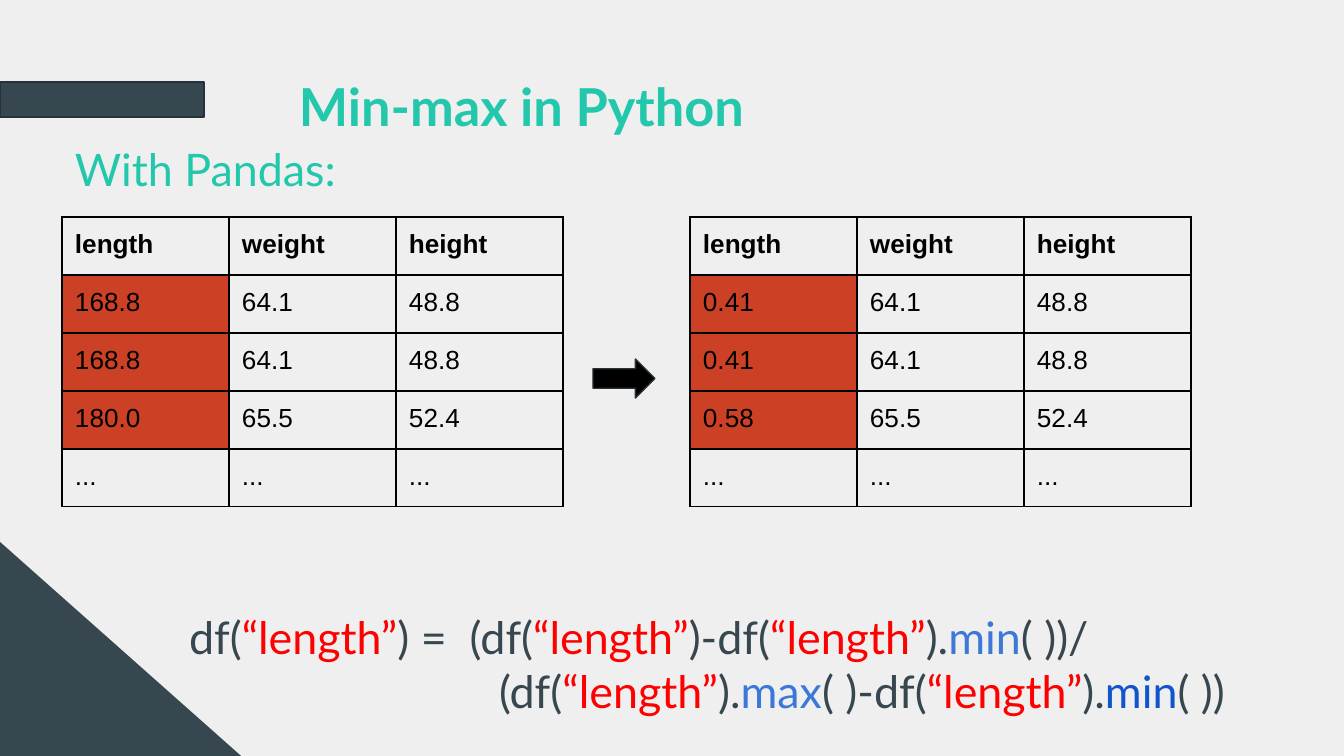
import pptx
import pptx.dml.color
import pptx.enum.shapes
import pptx.oxml
import pptx.oxml.ns
import pptx.util

SCALE = 914400 / 134.4  # EMU per px
COLORS = {
    "background": "EFEFEF", "slate": "37474F", "outline": "263238",
    "teal": "23C7AC", "black": "000000", "highlight": "CC4125",
    "string": "FF0000", "function": "3C78D8", "last_function": "1155CC",
}


def px(*lengths):
    return [pptx.util.Emu(round(length * SCALE)) for length in lengths]


def color(name):
    return pptx.dml.color.RGBColor.from_string(COLORS[name])


presentation = pptx.Presentation()
presentation.slide_width, presentation.slide_height = px(1344, 756)
slide = presentation.slides.add_slide(presentation.slide_layouts[6])
slide.background.fill.solid()
slide.background.fill.fore_color.rgb = color("background")

# Side bar, corner triangle and arrow between the tables
SHAPE = pptx.enum.shapes.MSO_SHAPE
for kind, box, fill, outlined in [
    (SHAPE.RECTANGLE, (0, 82, 204, 35), "slate", True),
    (SHAPE.RIGHT_TRIANGLE, (0, 542, 241, 214), "slate", False),
    (SHAPE.RIGHT_ARROW, (593, 359, 62, 39), "black", True),
]:
    shape = slide.shapes.add_shape(kind, *px(*box))
    shape.shadow.inherit = False
    shape.fill.solid()
    shape.fill.fore_color.rgb = color(fill)
    if outlined:
        shape.line.color.rgb = color("outline")
        shape.line.width = pptx.util.Pt(0.75)
    else:
        shape.line.fill.background()

# Title, subtitle and formula: each line is a list of (text, colour) runs
formula = [
    [("df(", "slate"), ("“length”", "string"), (") =  (df(", "slate"),
     ("“length”", "string"), (")-df(", "slate"), ("“length”", "string"),
     (").", "slate"), ("min", "function"), ("( ))/", "slate")],
    [("(df(", "slate"), ("“length”", "string"), (").", "slate"),
     ("max", "function"), ("( )-df(", "slate"), ("“length”", "string"),
     (").", "slate"), ("min", "last_function"), ("( ))", "slate")],
]
for box, size, bold, spacing, lines in [
    ((286, 52, 921, 74), 28, True, 1.15, [[("Min-max in Python", "teal")]]),
    ((62, 129, 425, 85), 24, False, 1.0, [[("With Pandas:", "teal")]]),
    ((176, 597, 1067, 134), 24, False, 1.0, formula),
]:
    frame = slide.shapes.add_textbox(*px(*box)).text_frame
    frame.word_wrap = True
    frame.margin_left, frame.margin_top, frame.margin_right, frame.margin_bottom = px(13, 13, 13, 13)
    for index, runs in enumerate(lines):
        paragraph = frame.add_paragraph() if index else frame.paragraphs[0]
        if index:  # continuation line of the formula
            paragraph._p.get_or_add_pPr().set("marL", str(px(310)[0]))
        paragraph.line_spacing = spacing
        paragraph.font.name = "Lato"
        paragraph.font.size = pptx.util.Pt(size)
        paragraph.font.bold = bold
        for text, color_name in runs:
            run = paragraph.add_run()
            run.text = text
            run.font.color.rgb = color(color_name)

# Tables before and after scaling; only the length column differs
HEADER = ["length", "weight", "height"]
UNCHANGED = [["64.1", "48.8"], ["64.1", "48.8"], ["65.5", "52.4"]]
ROW_HEIGHTS = [58, 58, 58, 58, 56]
COLUMN_WIDTH = 167
for left, lengths in [(62, ["168.8", "168.8", "180.0"]), (690, ["0.41", "0.41", "0.58"])]:
    rows = [HEADER]
    rows += [[length] + rest for length, rest in zip(lengths, UNCHANGED)]
    rows.append(["..."] * 3)
    table = slide.shapes.add_table(
        5, 3, *px(left, 217, 3 * COLUMN_WIDTH, sum(ROW_HEIGHTS))).table
    table.first_row = False
    table.horz_banding = False
    for column in table.columns:
        column.width = px(COLUMN_WIDTH)[0]
    for row_index, values in enumerate(rows):
        table.rows[row_index].height = px(ROW_HEIGHTS[row_index])[0]
        for column_index, value in enumerate(values):
            cell = table.cell(row_index, column_index)
            cell.margin_left, cell.margin_top, cell.margin_right, cell.margin_bottom = px(13, 13, 13, 13)
            cell.text = value
            paragraph = cell.text_frame.paragraphs[0]
            paragraph.font.name = "Arial"
            paragraph.font.size = pptx.util.Pt(14)
            paragraph.font.bold = row_index == 0
            paragraph.font.color.rgb = color("black")
            # Borders come before the fill in the cell properties
            for side in ("lnL", "lnR", "lnT", "lnB"):
                cell._tc.get_or_add_tcPr().append(pptx.oxml.parse_xml(
                    f'<a:{side} {pptx.oxml.ns.nsdecls("a")} w="9525"><a:solidFill>'
                    f'<a:srgbClr val="{COLORS["black"]}"/></a:solidFill></a:{side}>'))
            if column_index == 0 and 1 <= row_index <= 3:
                cell.fill.solid()
                cell.fill.fore_color.rgb = color("highlight")
            else:
                cell.fill.background()

presentation.save("out.pptx")
